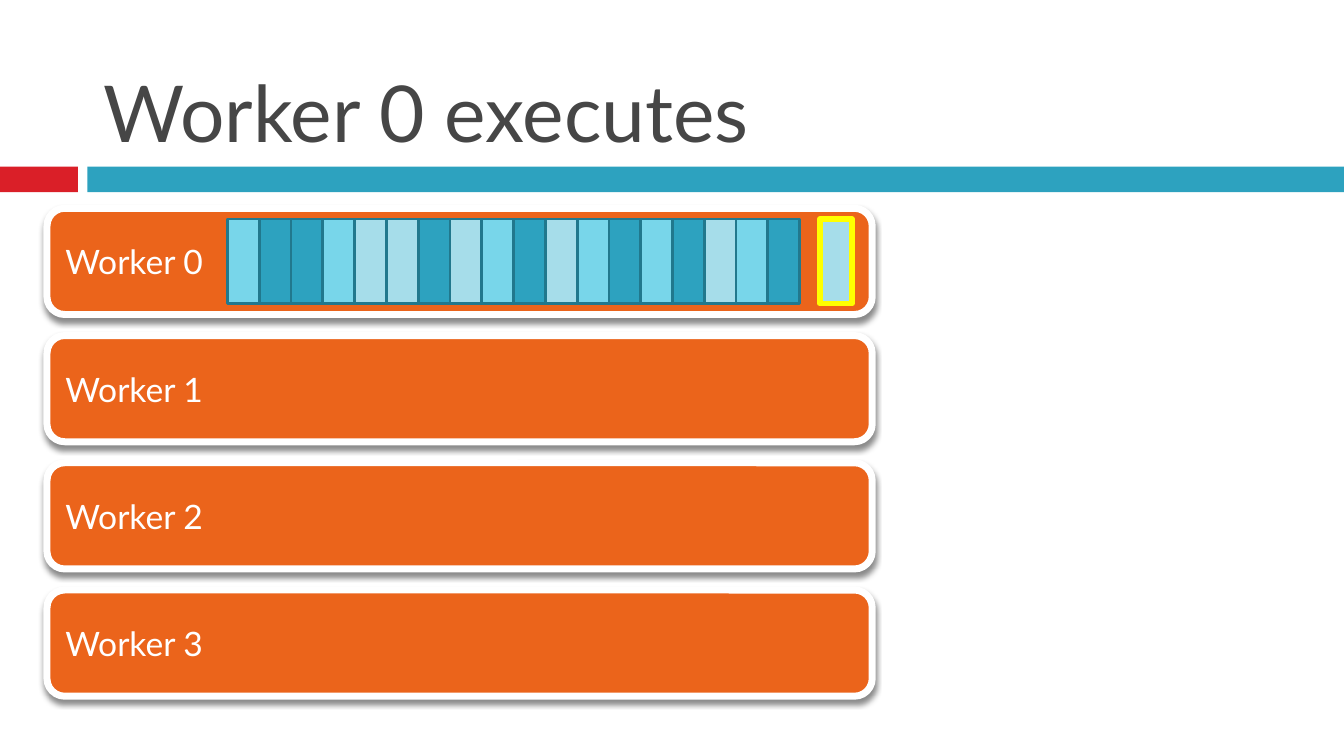
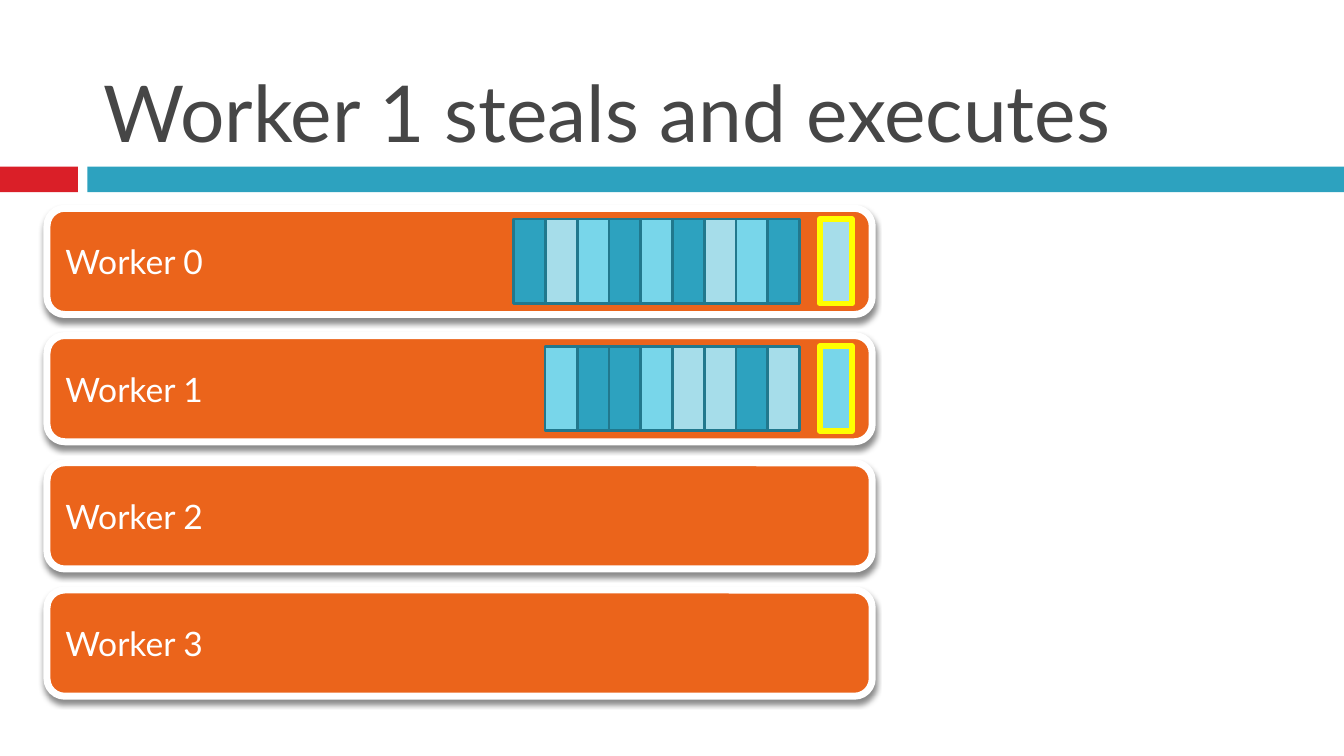
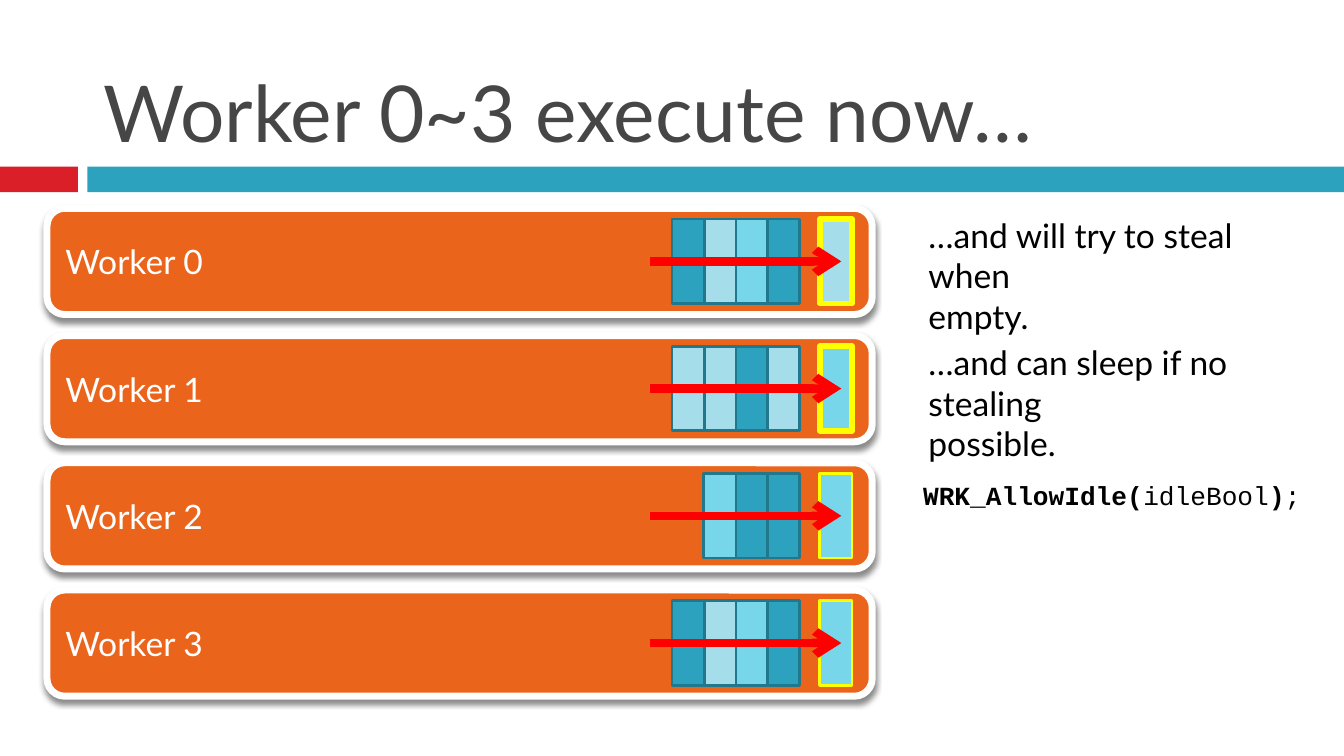
from dataclasses import dataclass

from lxml import etree
from pptx import Presentation
from pptx.dml.color import RGBColor
from pptx.enum import shapes, text
from pptx.oxml import ns
from pptx.util import Inches, Pt


@dataclass(frozen=True)
class Theme:
    accent: str = "DA1F28"
    band: str = "2DA2BF"
    title: str = "464646"
    body: str = "000000"
    worker: str = "EB641B"
    white: str = "FFFFFF"
    task_border: str = "21788D"
    running_border: str = "FFFF00"
    arrow: str = "FF0000"
    font: str = "Lato"
    code_font: str = "Courier New"
    title_size: int = 42
    body_size: int = 18
    code_size: int = 14


THEME = Theme()
TASK_FILLS = {"D": "2DA2BF", "M": "78D6EA", "L": "A6DDEA"}

WORKER_COUNT = 4
ROW_LEFT, ROW_TOP, ROW_WIDTH, ROW_HEIGHT = 0.35, 1.55, 6.14, 0.79
ROW_PITCH = (4.39 - ROW_TOP) / (WORKER_COUNT - 1)
TASK_WIDTH, TASK_HEIGHT = 0.24, 0.63
QUEUE_END, RUNNING_LEFT = 5.71, 6.1
TASK_PITCH = (QUEUE_END - 1.69) / 17  # the full queue holds 18 tasks

ALL_TASKS = "MDDMLLDLMDLMDMDLMD"
STOLEN, KEPT = ALL_TASKS[:8], ALL_TASKS[9:]


def row_top(worker):
    return ROW_TOP + worker * ROW_PITCH


def color(hex_code):
    return RGBColor.from_string(hex_code)


def add_xml(parent, tag, **attributes):
    return etree.SubElement(parent, ns.qn(tag), **attributes)


class Deck:
    def __init__(self, theme):
        self.theme = theme
        self.prs = Presentation()
        self.prs.slide_width = Inches(10)
        self.prs.slide_height = Inches(10 * 9 / 16)
        self.slide = None

    def new_slide(self, title):
        self.slide = self.prs.slides.add_slide(self.prs.slide_layouts[6])
        self.box(0, 1.24, 0.58, 0.19, self.theme.accent)
        self.box(0.65, 1.24, 9.35, 0.19, self.theme.band)
        frame = self.text_box(0.67, 0.13, 8.92, 1.1, [title],
                              self.theme.title_size, self.theme.title)
        frame.vertical_anchor = text.MSO_ANCHOR.BOTTOM

    def box(self, left, top, width, height, fill, border=None, border_width=1.5,
            kind=shapes.MSO_SHAPE.RECTANGLE):
        shape = self.slide.shapes.add_shape(
            kind, Inches(left), Inches(top), Inches(width), Inches(height))
        shape.shadow.inherit = False
        shape.fill.solid()
        shape.fill.fore_color.rgb = color(fill)
        if border:
            shape.line.color.rgb = color(border)
            shape.line.width = Pt(border_width)
        else:
            shape.line.fill.background()
        return shape

    def style(self, paragraph, size, hex_code, font=None):
        paragraph.font.name = font or self.theme.font
        paragraph.font.size = Pt(size)
        paragraph.font.color.rgb = color(hex_code)

    def text_box(self, left, top, width, height, lines, size, hex_code):
        frame = self.slide.shapes.add_textbox(
            Inches(left), Inches(top), Inches(width), Inches(height)).text_frame
        frame.word_wrap = True
        frame.text = "\n".join(lines)
        for paragraph in frame.paragraphs:
            self.style(paragraph, size, hex_code)
        return frame

    def note(self, worker, width, lines):
        self.text_box(6.81, row_top(worker), width, 0.71, lines,
                      self.theme.body_size, self.theme.body)

    def code(self, left, top, width, height, pieces):
        """Write one line of code from (text, bold) pieces."""
        frame = self.text_box(left, top, width, height, [], self.theme.code_size,
                              self.theme.body)
        line = frame.paragraphs[0]
        self.style(line, self.theme.code_size, self.theme.body, self.theme.code_font)
        for words, bold in pieces:
            run = line.add_run()
            run.text = words
            run.font.bold = bold

    def worker(self, number):
        row = self.box(ROW_LEFT, row_top(number), ROW_WIDTH, ROW_HEIGHT,
                       self.theme.worker, self.theme.white, 3.75,
                       shapes.MSO_SHAPE.ROUNDED_RECTANGLE)
        effects = row._element.spPr.find(ns.qn("a:effectLst"))
        shadow = add_xml(effects, "a:outerShdw", blurRad=str(Pt(3)), dist=str(Pt(2.4)),
                         dir="5400000", rotWithShape="0")
        shade = add_xml(shadow, "a:srgbClr", val="000000")
        add_xml(shade, "a:alpha", val="45000")
        frame = row.text_frame
        frame.vertical_anchor = text.MSO_ANCHOR.MIDDLE
        frame.text = f"Worker {number}"
        frame.paragraphs[0].alignment = text.PP_ALIGN.LEFT
        self.style(frame.paragraphs[0], self.theme.body_size, self.theme.white)

    def tasks(self, worker, queue, running, running_width=3):
        """Queue tasks rightwards up to QUEUE_END, then the one being run."""
        top = row_top(worker) + (ROW_HEIGHT - TASK_HEIGHT) / 2
        for place, tone in enumerate(reversed(queue)):
            self.box(QUEUE_END - place * TASK_PITCH, top, TASK_WIDTH, TASK_HEIGHT,
                     TASK_FILLS[tone], self.theme.task_border)
        self.box(RUNNING_LEFT, top, TASK_WIDTH, TASK_HEIGHT, TASK_FILLS[running],
                 self.theme.running_border, running_width)

    def arrow(self, worker):
        y = Inches(row_top(worker) + ROW_HEIGHT / 2)
        line = self.slide.shapes.add_connector(
            shapes.MSO_CONNECTOR.STRAIGHT, Inches(4.84), y, Inches(6.26), y)
        line.line.color.rgb = color(self.theme.arrow)
        line.line.width = Pt(4.5)
        add_xml(line._element.spPr.find(ns.qn("a:ln")), "a:tailEnd", type="arrow")
        add_xml(line._element.spPr, "a:effectLst")

    def worker_slide(self, title, loads):
        self.new_slide(title)
        for number in range(WORKER_COUNT):
            self.worker(number)
        for number, load in enumerate(loads):
            self.tasks(number, *load)


def main():
    deck = Deck(THEME)
    deck.worker_slide("Worker 0 executes", [(ALL_TASKS, "L")])
    deck.worker_slide("Worker 1 steals and executes", [(KEPT, "L"), (STOLEN, "M")])
    deck.worker_slide("Worker 0~3 execute now…", [
        (KEPT[-4:], "L"), (STOLEN[-4:], "M"),
        (STOLEN[:3], "M", 1.5), (KEPT[:3] + "D", "M", 1.5)])
    deck.note(0, 2.99, ["…and will try to steal when", "empty."])
    deck.note(1, 3.23, ["…and can sleep if no stealing", "possible."])
    deck.code(6.77, 3.52, 3.02, 0.64, [
        ("WRK_AllowIdle(", True), ("idleBool", False), (")", True), (";", False)])
    for number in range(WORKER_COUNT):
        deck.arrow(number)
    deck.prs.save("out.pptx")


if __name__ == "__main__":
    main()
